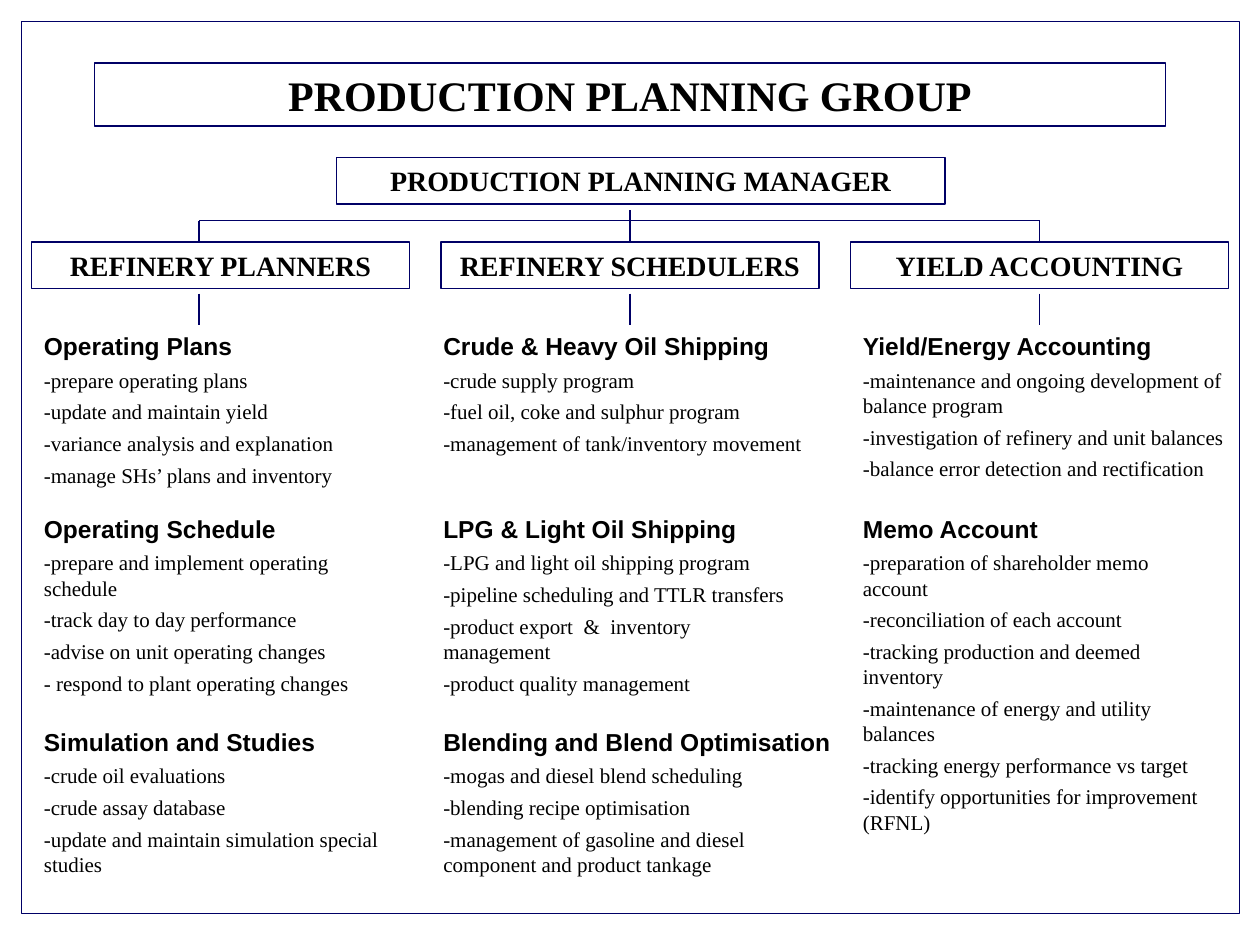
"""Build the production planning group organisation chart."""
import pptx
import pptx.dml.color
import pptx.enum.shapes
import pptx.enum.text
import pptx.oxml
import pptx.util

Inches = pptx.util.Inches
COLOURS = {"line": "000066", "text": "000000"}
SERIF, SANS = "Times New Roman", "Arial"

COLUMNS = [
    ("REFINERY PLANNERS", 0.25, 0.25, 1.58, [
        (2.58, 3.01, 1.34, "Operating Plans", [
            "-prepare operating plans",
            "-update and maintain yield",
            "-variance analysis and explanation",
            "-manage SHs’ plans and inventory"]),
        (4.03, 3.08, 1.54, "Operating Schedule", [
            "-prepare and implement operating schedule",
            "-track day to day performance",
            "-advise on unit operating changes",
            "- respond to plant operating changes"]),
        (5.72, 3.25, 1.29, "Simulation and Studies", [
            "-crude oil evaluations",
            "-crude assay database",
            "-update and maintain simulation special studies"]),
    ]),
    ("REFINERY SCHEDULERS", 3.5, 3.42, 5, [
        (2.58, 3.33, 1.09, "Crude & Heavy Oil Shipping", [
            "-crude supply program",
            "-fuel oil, coke and sulphur program",
            "-management of tank/inventory movement"]),
        (4.03, 3, 1.54, "LPG & Light Oil Shipping", [
            "-LPG and light oil shipping program",
            "-pipeline scheduling and TTLR transfers",
            "-product export  &  inventory  management",
            "-product quality management"]),
        (5.72, 3.33, 1.29, "Blending and Blend Optimisation", [
            "-mogas and diesel blend scheduling",
            "-blending recipe optimisation",
            "-management of gasoline and diesel component and product tankage"]),
    ]),
    ("YIELD ACCOUNTING", 6.75, 6.75, 8.25, [
        (2.58, 3.08, 1.29, "Yield/Energy Accounting", [
            "-maintenance and ongoing development of balance program",
            "-investigation of refinery and unit balances",
            "-balance error detection and rectification"]),
        (4.03, 3, 2.9, "Memo Account", [
            "-preparation of shareholder memo account",
            "-reconciliation of each account",
            "-tracking production and deemed inventory",
            "-maintenance of energy and utility balances",
            "-tracking energy performance vs target",
            "-identify opportunities for improvement (RFNL)"]),
    ]),
]


class Chart:
    """Hold the style and the current slide, and draw each kind of element."""

    def __init__(self, slide):
        self.slide = slide
        self.shapes = slide.shapes

    def outline(self, item):
        item.line.color.rgb = pptx.dml.color.RGBColor.from_string(COLOURS["line"])
        item.line.width = pptx.util.Pt(0.75)

    def add_span(self, para, text, size, font=SERIF, bold=True):
        span = para.add_run()
        span.text = text
        span.font.name = font
        span.font.size = pptx.util.Pt(size)
        span.font.bold = bold
        span.font.color.rgb = pptx.dml.color.RGBColor.from_string(COLOURS["text"])

    def title(self, text, left, top, width, height):
        box = self.shapes.title
        box.left, box.top = Inches(left), Inches(top)
        box.width, box.height = Inches(width), Inches(height)
        self.outline(box)
        frame = box.text_frame
        frame.auto_size = pptx.enum.text.MSO_AUTO_SIZE.NONE
        frame.vertical_anchor = pptx.enum.text.MSO_ANCHOR.MIDDLE
        para = frame.paragraphs[0]
        para.alignment = pptx.enum.text.PP_ALIGN.CENTER
        self.add_span(para, text, 24)

    def rectangle(self, left, top, width, height):
        box = self.shapes.add_shape(
            pptx.enum.shapes.MSO_SHAPE.RECTANGLE,
            Inches(left), Inches(top), Inches(width), Inches(height))
        box.shadow.inherit = False
        box.fill.background()
        self.outline(box)
        return box

    def role(self, text, left, top, width):
        box = self.rectangle(left, top, width, 0.37)
        frame = box.text_frame
        frame.word_wrap = True
        frame.auto_size = pptx.enum.text.MSO_AUTO_SIZE.SHAPE_TO_FIT_TEXT
        frame.vertical_anchor = pptx.enum.text.MSO_ANCHOR.TOP
        para = frame.paragraphs[0]
        para.alignment = pptx.enum.text.PP_ALIGN.CENTER
        self.add_span(para, text, 16)
        return box

    def duties(self, heading, items, left, top, width, height):
        box = self.shapes.add_textbox(
            Inches(left), Inches(top), Inches(width), Inches(height))
        frame = box.text_frame
        frame.word_wrap = True
        frame.auto_size = pptx.enum.text.MSO_AUTO_SIZE.SHAPE_TO_FIT_TEXT
        self.add_span(frame.paragraphs[0], heading, 14, SANS)
        for item in items:
            para = frame.add_paragraph()
            para.space_before = pptx.util.Pt(3.7)
            self.add_span(para, item, 12, bold=False)

    def line(self, x1, y1, x2, y2):
        link = self.shapes.add_connector(
            pptx.enum.shapes.MSO_CONNECTOR.STRAIGHT,
            Inches(x1), Inches(y1), Inches(x2), Inches(y2))
        self.outline(link)
        properties = link._element.spPr
        properties.append(pptx.oxml.parse_xml(
            '<a:effectLst xmlns:a="http://schemas.openxmlformats.org/drawingml/2006/main"/>'))
        return link


def main():
    deck = pptx.Presentation()
    deck.slide_width, deck.slide_height = Inches(10), Inches(7.5)
    chart = Chart(deck.slides.add_slide(deck.slide_layouts[5]))

    chart.title("PRODUCTION PLANNING GROUP", 0.75, 0.5, 8.5, 0.5)
    chart.rectangle(0.17, 0.17, 9.67, 7.08)
    chart.role("PRODUCTION PLANNING MANAGER", 2.67, 1.25, 4.83)

    role_top, role_width, bar = 1.92, 3, 1.75
    for name, role_left, text_left, stem, groups in COLUMNS:
        role = chart.role(name, role_left, role_top, role_width)
        centred = stem == role_left + role_width / 2
        link = chart.line(stem, 1.67 if stem == 5 else bar, stem, role_top)
        if centred:
            link.end_connect(role, 0)
        chart.line(stem, 2.33, stem, 2.58)
        for top, width, height, heading, items in groups:
            chart.duties(heading, items, text_left, top, width, height)
    chart.line(COLUMNS[0][3], bar, COLUMNS[-1][3], bar)

    deck.save("out.pptx")


if __name__ == "__main__":
    main()
